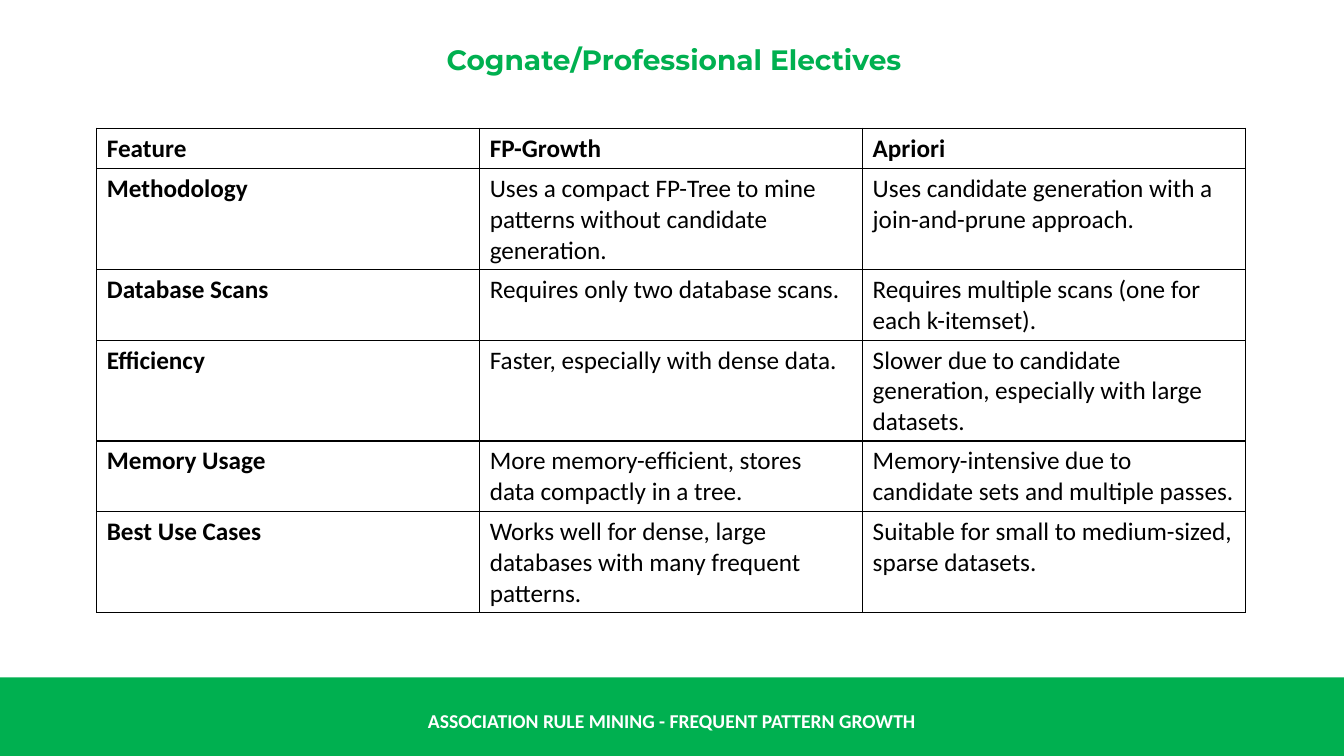
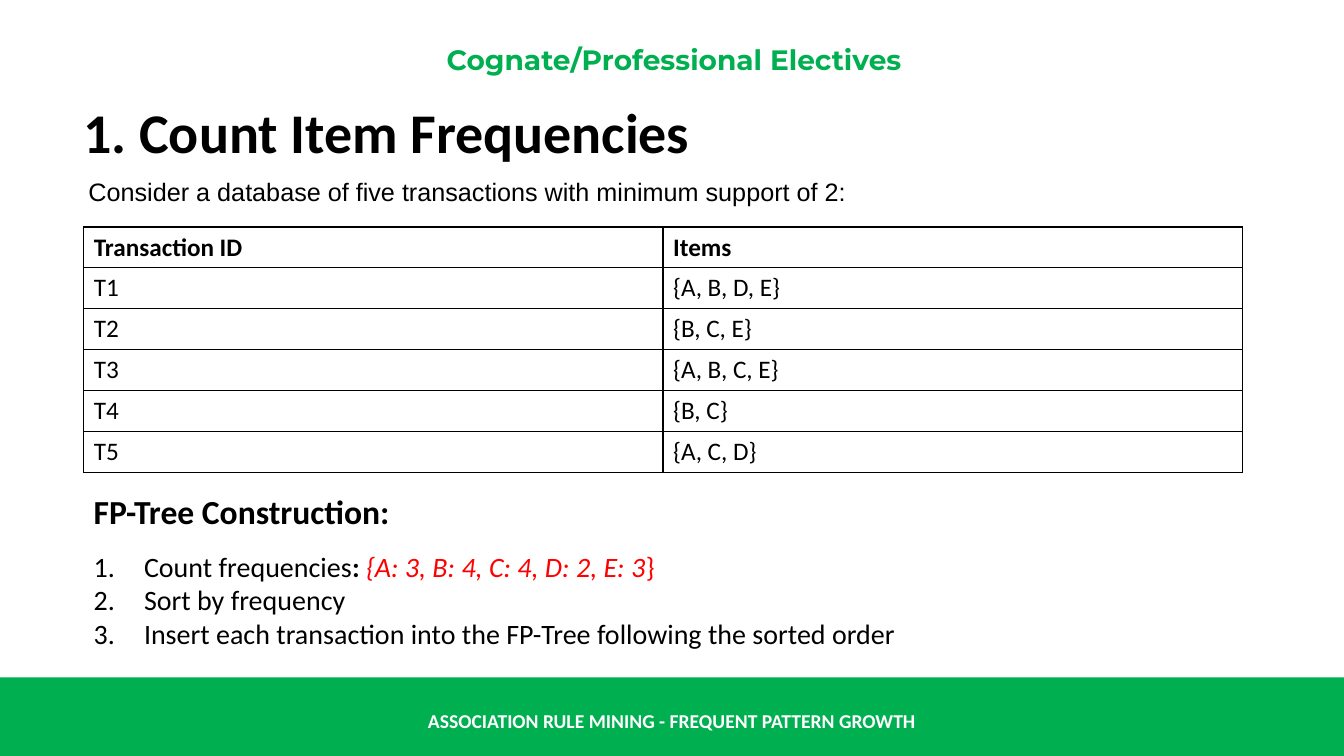
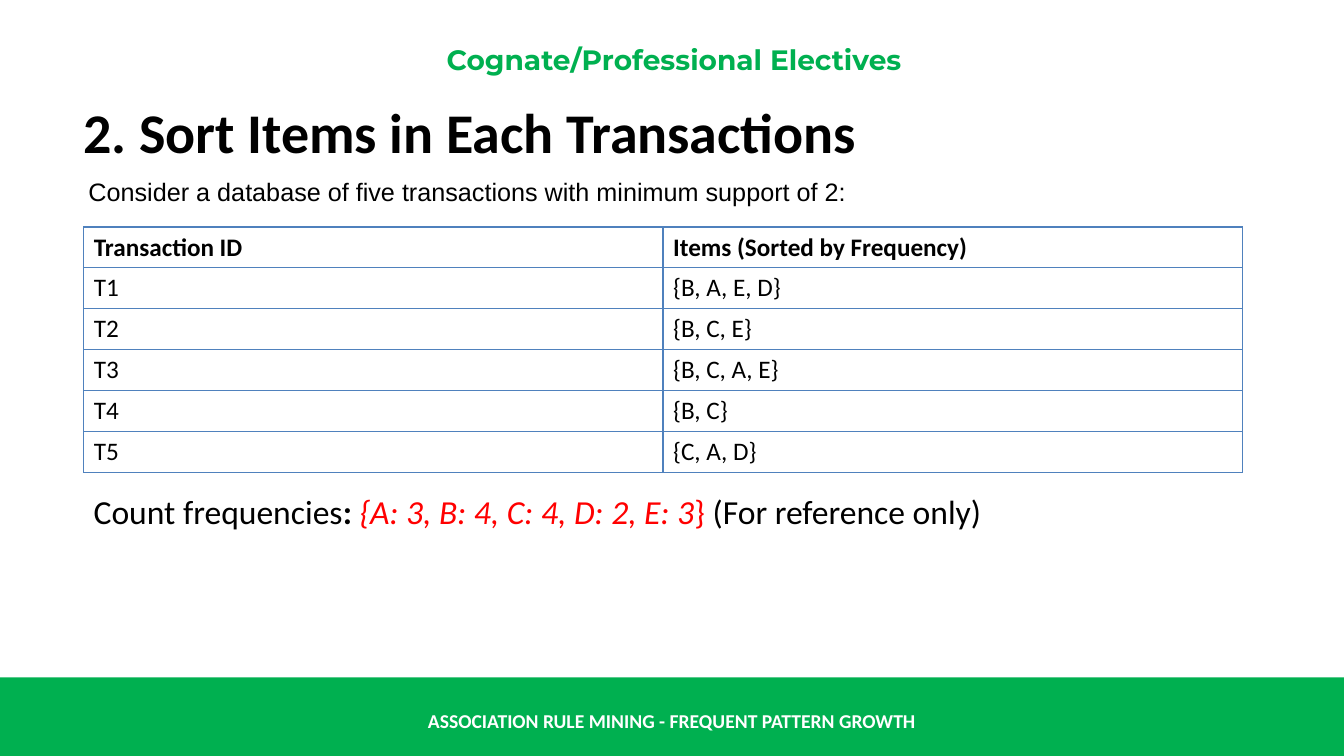
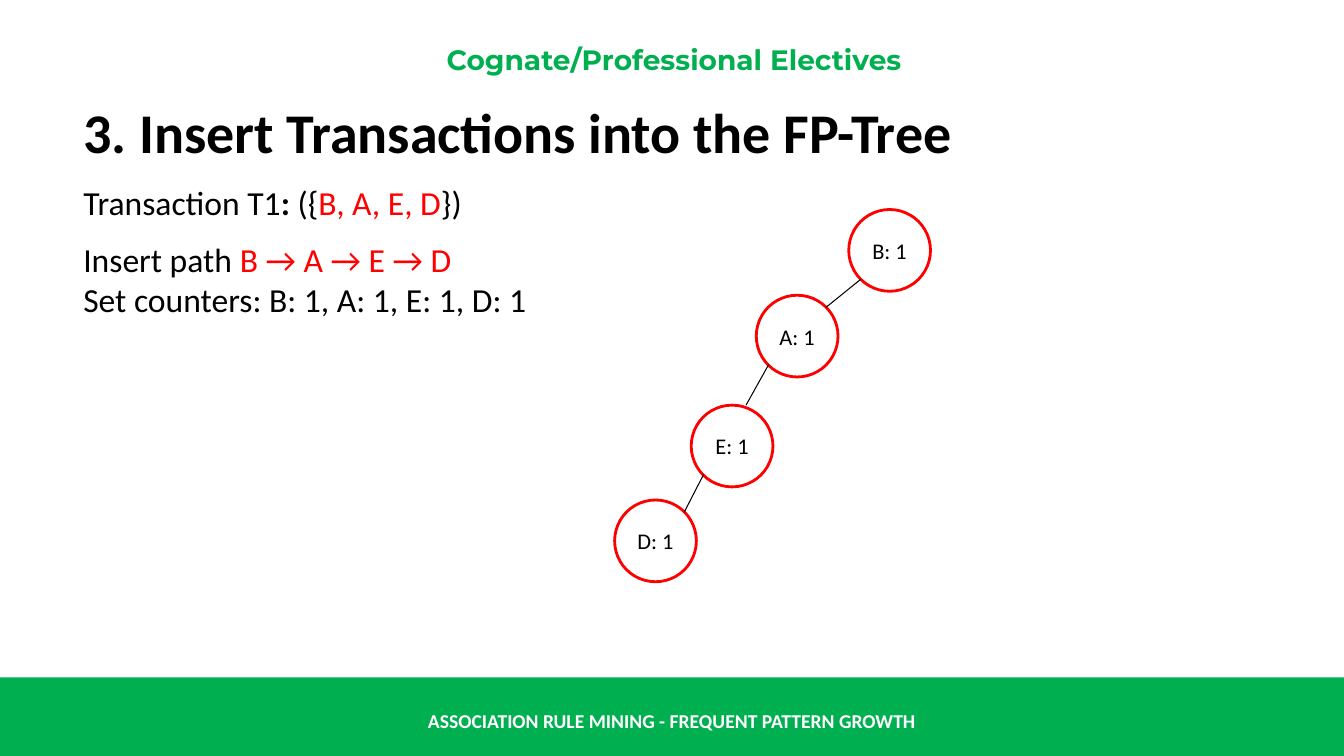
import dataclasses

import lxml.etree
import pptx
import pptx.dml.color
import pptx.enum.shapes
import pptx.enum.text
import pptx.oxml.ns
import pptx.util

Cm, Pt = pptx.util.Cm, pptx.util.Pt
RGB = pptx.dml.color.RGBColor
ALIGN, ANCHOR = pptx.enum.text.PP_ALIGN, pptx.enum.text.MSO_ANCHOR
SHAPE = pptx.enum.shapes.MSO_SHAPE
qn = pptx.oxml.ns.qn


@dataclasses.dataclass(frozen=True)
class Theme:
    green: RGB = RGB(0x00, 0xB0, 0x50)
    black: RGB = RGB(0x00, 0x00, 0x00)
    white: RGB = RGB(0xFF, 0xFF, 0xFF)
    red: RGB = RGB(0xFF, 0x00, 0x00)
    blue: RGB = RGB(0x4F, 0x81, 0xBD)
    body_font: str = "Calibri"
    intro_font: str = "Arial"
    header_font: str = "Montserrat"
    title: int = 40
    lead: int = 24
    item: int = 20
    cell: int = 18
    node: int = 16
    footer: int = 14


theme = Theme()


def write(frame, *paragraphs, align=ALIGN.LEFT, anchor=ANCHOR.TOP, wrap=True, **base):
    """Fill a frame; a paragraph is a string or a list of (text, format changes) runs."""
    frame.word_wrap = wrap
    frame.vertical_anchor = anchor
    for index, content in enumerate(paragraphs):
        paragraph = frame.paragraphs[0] if index == 0 else frame.add_paragraph()
        paragraph.alignment = align
        for text, changes in [(content, {})] if isinstance(content, str) else content:
            look = {"font": theme.body_font, "color": theme.black, "bold": False,
                    "italic": False, **base, **changes}
            run = paragraph.add_run()
            run.text = text
            run.font.name = look["font"]
            run.font.size = Pt(look["size"])
            run.font.bold = look["bold"]
            run.font.italic = look["italic"]
            run.font.color.rgb = look["color"]


def add_ruled_table(slide, rows, left, top, column_width, row_heights, line_color,
                    body_anchor=ANCHOR.MIDDLE, bold_first_column=False):
    table = slide.shapes.add_table(len(rows), len(rows[0]), left, top,
                                   column_width * len(rows[0]), sum(row_heights)).table
    table.horz_banding = False
    for column in table.columns:
        column.width = column_width
    for r, texts in enumerate(rows):
        table.rows[r].height = row_heights[r]
        for c, text in enumerate(texts):
            cell = table.cell(r, c)
            write(cell.text_frame, text, size=theme.cell,
                  bold=r == 0 or (bold_first_column and c == 0))
            cell.vertical_anchor = ANCHOR.MIDDLE if r == 0 else body_anchor
            cell.fill.background()
            properties = cell.text_frame._txBody.getparent().get_or_add_tcPr()
            for position, side in enumerate(("a:lnL", "a:lnR", "a:lnT", "a:lnB")):
                border = lxml.etree.Element(qn(side), w=str(Pt(1)))
                fill = lxml.etree.SubElement(border, qn("a:solidFill"))
                lxml.etree.SubElement(fill, qn("a:srgbClr"), val=str(line_color))
                properties.insert(position, border)


deck = pptx.Presentation()
deck.slide_width, deck.slide_height = Cm(33.87), Cm(19.05)
title_only, blank = deck.slide_layouts[5], deck.slide_layouts[6]

# Slide 1: comparison
comparison = deck.slides.add_slide(blank)

# Shared band, footer and header, moved to the master so that every slide shows them
band = comparison.shapes.add_shape(SHAPE.RECTANGLE, 0, Cm(17.07), deck.slide_width, Cm(1.98))
band.shadow.inherit = False
band.fill.solid()
band.fill.fore_color.rgb = theme.green
band.line.fill.background()
footer = comparison.shapes.add_textbox(0, Cm(17.65), deck.slide_width, Cm(1.02))
write(footer.text_frame, "ASSOCIATION RULE MINING - FREQUENT PATTERN GROWTH",
      size=theme.footer, color=theme.white, bold=True, align=ALIGN.CENTER, anchor=ANCHOR.MIDDLE)
header = comparison.shapes.add_textbox(Cm(0.71), Cm(1.07), Cm(32.56), Cm(0.86))
write(header.text_frame, "Cognate/Professional Electives", size=theme.item,
      font=theme.header_font, color=theme.green, bold=True,
      align=ALIGN.CENTER, anchor=ANCHOR.MIDDLE)
for shape_id, shared in enumerate((band, footer, header), start=101):
    shared.element.xpath(".//p:cNvPr")[0].set("id", str(shape_id))
    deck.slide_master.shapes.element.append(shared.element)

comparison_rows = [
    ("Feature", "FP-Growth", "Apriori"),
    ("Methodology", "Uses a compact FP-Tree to mine patterns without candidate generation.",
     "Uses candidate generation with a join-and-prune approach."),
    ("Database Scans", "Requires only two database scans.",
     "Requires multiple scans (one for each k-itemset)."),
    ("Efficiency", "Faster, especially with dense data.",
     "Slower due to candidate generation, especially with large datasets."),
    ("Memory Usage", "More memory-efficient, stores data compactly in a tree.",
     "Memory-intensive due to candidate sets and multiple passes."),
    ("Best Use Cases", "Works well for dense, large databases with many frequent patterns.",
     "Suitable for small to medium-sized, sparse datasets."),
]
add_ruled_table(comparison, comparison_rows, Cm(2.44), Cm(3.23), Cm(9.65),
                [Cm(height) for height in (1.02, 2.51, 1.75, 2.51, 1.75, 2.51)],
                theme.black, body_anchor=ANCHOR.TOP, bold_first_column=True)

# Slides 2 to 4: titles
steps = []
for heading in ("1. Count Item Frequencies", "2. Sort Items in Each Transactions",
                "3. Insert Transactions into the FP-Tree"):
    step = deck.slides.add_slide(title_only)
    title = step.shapes.title
    title.left, title.top, title.width, title.height = Cm(1.85), Cm(2.34), Cm(29.34), Cm(1.96)
    write(title.text_frame, heading, size=theme.title, bold=True)
    title.text_frame.auto_size = pptx.enum.text.MSO_AUTO_SIZE.NONE
    steps.append(step)
counting, sorting, insertion = steps

# Slides 2 and 3: transactions
frequencies = [("Count frequencies", {}), (": ", {"bold": True}),
               ("{A: 3, B: 4, C: 4, D: 2, E: 3", {"color": theme.red, "italic": True}),
               ("}", {"color": theme.red})]
for step, items_heading, item_sets, line_color in (
    (counting, "Items",
     ("{A, B, D, E}", "{B, C, E}", "{A, B, C, E}", "{B, C}", "{A, C, D}"), theme.black),
    (sorting, "Items (Sorted by Frequency)",
     ("{B, A, E, D}", "{B, C, E}", "{B, C, A, E}", "{B, C}", "{C, A, D}"), theme.blue),
):
    transactions = [("Transaction ID", items_heading)]
    transactions += [(f"T{number}", items) for number, items in enumerate(item_sets, start=1)]
    add_ruled_table(step, transactions, Cm(2.11), Cm(5.72), Cm(14.6),
                    [Cm(1.02)] * len(transactions), line_color)
    intro = step.shapes.add_textbox(Cm(1.98), Cm(4.32), Cm(29.21), Cm(1.02))
    write(intro.text_frame, "Consider a database of five transactions with minimum support of 2:",
          size=theme.cell, font=theme.intro_font, anchor=ANCHOR.MIDDLE)

construction = counting.shapes.add_textbox(Cm(2.11), Cm(12.24), Cm(29.21), Cm(4.29)).text_frame
write(construction, [("FP-Tree Construction:", {"size": theme.lead, "bold": True})], frequencies,
      "Sort by frequency", "Insert each transaction into the FP-Tree following the sorted order",
      size=theme.item)
construction.paragraphs[0].space_after = Pt(13)
for numbered in construction.paragraphs[1:]:
    properties = numbered._p.get_or_add_pPr()
    properties.set("marL", str(Cm(1.27)))
    properties.set("indent", str(-Cm(1.27)))
    lxml.etree.SubElement(properties, qn("a:buFont"), typeface="+mj-lt")
    lxml.etree.SubElement(properties, qn("a:buAutoNum"), type="arabicPeriod")

reference = sorting.shapes.add_textbox(Cm(2.11), Cm(12.24), Cm(29.21), Cm(1.27))
write(reference.text_frame, frequencies + [(" (For reference only)", {})], size=theme.lead)

# Slide 4: first path of the tree
path_notes = insertion.shapes.add_textbox(Cm(1.85), Cm(4.45), Cm(15.54), Cm(3.76)).text_frame
write(path_notes,
      [("Transaction T1", {}), (": ", {"bold": True}), ("({", {}),
       ("B, A, E, D", {"color": theme.red}), ("})", {})],
      [("Insert path ", {}), ("B → A → E → D", {"color": theme.red})],
      "Set counters: B: 1, A: 1, E: 1, D: 1", size=theme.lead)
path_notes.paragraphs[0].space_after = Pt(12)

diameter = 2.06
near, far = 0.15 * diameter, 0.85 * diameter  # where the diagonals meet the circle
upper_right = (far, near)
parent = None
for label, left, top, (link_x, link_y) in (
    ("B: 1", 21.39, 5.28, upper_right),
    ("A: 1", 19.06, 7.44, upper_right),
    ("E: 1", 17.42, 10.21, (0.67 * diameter, 0)),
    ("D: 1", 15.49, 12.6, upper_right),
):
    node = insertion.shapes.add_shape(SHAPE.OVAL, Cm(left), Cm(top), Cm(diameter), Cm(diameter))
    node.shadow.inherit = False
    node.fill.background()
    node.line.color.rgb = theme.red
    node.line.width = Pt(2)
    write(node.text_frame, label, size=theme.node, align=ALIGN.CENTER,
          anchor=ANCHOR.MIDDLE, wrap=False)
    if parent:
        branch = insertion.shapes.add_connector(
            pptx.enum.shapes.MSO_CONNECTOR.STRAIGHT,
            Cm(parent[0] + near), Cm(parent[1] + far), Cm(left + link_x), Cm(top + link_y))
        branch.line.color.rgb = theme.black
        branch.line.width = Pt(0.75)
        lxml.etree.SubElement(branch.element.spPr, qn("a:effectLst"))
    parent = (left, top)

deck.save("out.pptx")
